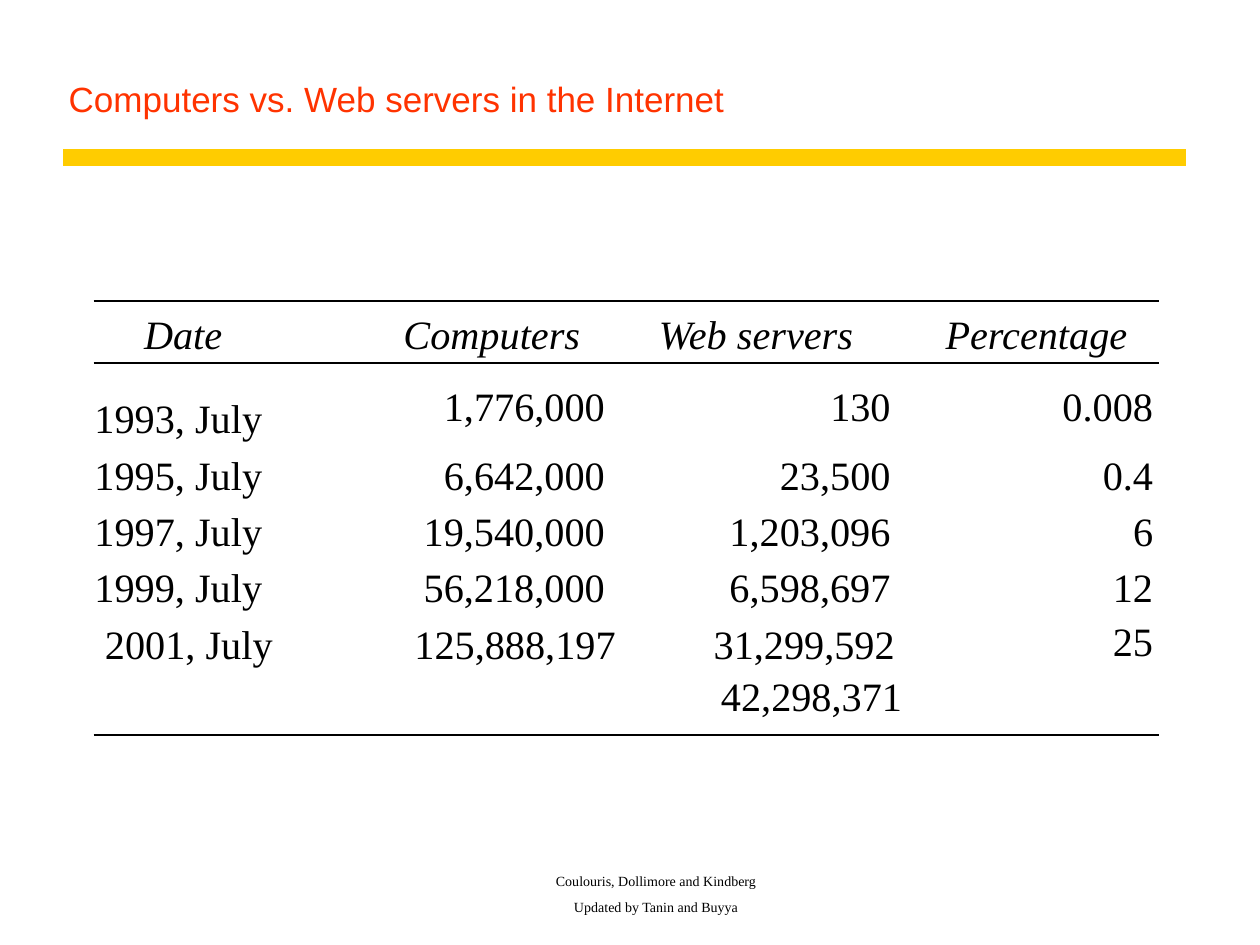
from lxml.etree import SubElement
from pptx import Presentation
from pptx.dml.color import RGBColor
from pptx.enum.shapes import MSO_CONNECTOR
from pptx.enum.text import MSO_ANCHOR, PP_ALIGN
from pptx.oxml.ns import qn
from pptx.util import Pt

BLACK = RGBColor(0x00, 0x00, 0x00)
RED = RGBColor(0xFF, 0x33, 0x00)
YELLOW = RGBColor(0xFF, 0xCC, 0x00)
SERIF = "Times New Roman"
NO_STYLE = "{2D5ABB26-0587-4C30-8999-92F81FD0307C}"

HEADERS = ["Date", "Computers", "Web servers", "Percentage"]
ROWS = [
    ["1993, July", "1,776,000", "130", "0.008"],
    ["1995, July", "6,642,000", "23,500", "0.4"],
    ["1997, July", "19,540,000", "1,203,096", "6"],
    ["1999, July", "56,218,000", "6,598,697", "12"],
    ["2001, July", "125,888,197", "31,299,592", "25"],
    ["", "", "42,298,371", ""],
]
COLUMN_SHARES = [155.5, 148, 161, 144.5]
ROW_SHARES = [35.5, 49.5, 32.2, 32.2, 32.2, 30, 36.4]
HEADER_INDENTS = [28.8, 21.6, 19.6, 22.4]
BODY_INSETS = [0.5, 11.2, 9, 3.5]
# Cells set slightly off their column or row, by (row, column)
SPECIAL_INSETS = {(5, 0): 6.5, (5, 1): 5, (5, 2): 6.5, (6, 2): 2.3}
SPECIAL_TOPS = {(1, 0): 19.8, (5, 3): 1.4}
ROW_TOPS = [7.2, 13.1] + [2.6] * 5


def format_runs(paragraph, size, color, font=SERIF, italic=False):
    for run in paragraph.runs:
        run.font.size = Pt(size)
        run.font.name = font
        run.font.italic = italic
        run.font.color.rgb = color


def add_rule(slide, left, top, width, color, thickness):
    rule = slide.shapes.add_connector(
        MSO_CONNECTOR.STRAIGHT, Pt(left), Pt(top), Pt(left + width), Pt(top))
    rule.line.color.rgb = color
    rule.line.width = Pt(thickness)
    SubElement(rule._element.spPr, qn("a:effectLst"))


def add_title(slide, left, top, width, height):
    title = slide.shapes.title
    title.left, title.top, title.width, title.height = map(Pt, (left, top, width, height))
    text_frame = title.text_frame
    text_frame.text = "Computers vs. Web servers in the Internet"
    text_frame.vertical_anchor = MSO_ANCHOR.BOTTOM
    paragraph = text_frame.paragraphs[0]
    paragraph.alignment = PP_ALIGN.LEFT
    format_runs(paragraph, 20, RED, "Arial")


def fill_cell(cell, text, row, column):
    is_header = row == 0
    aligned_left = is_header or column == 0
    inset = HEADER_INDENTS[column] if is_header else BODY_INSETS[column]
    inset = Pt(SPECIAL_INSETS.get((row, column), inset))
    cell.margin_left, cell.margin_right = (inset, 0) if aligned_left else (0, inset)
    cell.margin_top = Pt(SPECIAL_TOPS.get((row, column), ROW_TOPS[row]))
    cell.margin_bottom = 0
    cell.vertical_anchor = MSO_ANCHOR.TOP
    cell.fill.background()
    cell.text_frame.text = text
    paragraph = cell.text_frame.paragraphs[0]
    paragraph.alignment = PP_ALIGN.LEFT if aligned_left else PP_ALIGN.RIGHT
    format_runs(paragraph, 23, BLACK, italic=is_header)


def add_server_table(slide, left, top, width, height):
    contents = [HEADERS] + ROWS
    table_frame = slide.shapes.add_table(
        len(contents), len(HEADERS), Pt(left), Pt(top), Pt(width), Pt(height))
    table = table_frame.table
    table.first_row = table.horz_banding = False
    table._tbl.tblPr.find(qn("a:tableStyleId")).text = NO_STYLE
    for column, share in zip(table.columns, COLUMN_SHARES):
        column.width = Pt(width * share / sum(COLUMN_SHARES))
    for row, share in zip(table.rows, ROW_SHARES):
        row.height = Pt(height * share / sum(ROW_SHARES))
    for row, texts in enumerate(contents):
        for column, text in enumerate(texts):
            fill_cell(table.cell(row, column), text, row, column)
    # Rules above and below the header, and below the last row
    header_height = height * ROW_SHARES[0] / sum(ROW_SHARES)
    for offset in (0, header_height, height):
        add_rule(slide, left, top + offset, width, BLACK, 1)


def add_footer(slide, left, top, width, height):
    footer = slide.shapes.add_textbox(Pt(left), Pt(top), Pt(width), Pt(height))
    text_frame = footer.text_frame
    text_frame.word_wrap = True
    text_frame.vertical_anchor = MSO_ANCHOR.BOTTOM
    text_frame.text = "Coulouris, Dollimore and Kindberg\nUpdated by Tanin and Buyya"
    for paragraph in text_frame.paragraphs:
        paragraph.alignment = PP_ALIGN.CENTER
        paragraph.space_before = Pt(5)
        format_runs(paragraph, 8, BLACK)


def main():
    presentation = Presentation()
    presentation.slide_width, presentation.slide_height = Pt(720), Pt(540)
    slide = presentation.slides.add_slide(presentation.slide_layouts[5])
    add_rule(slide, 36, 90, 642, YELLOW, 10)
    add_footer(slide, 156, 504.4, 438, 22)
    add_title(slide, 32, 18, 646, 54)
    add_server_table(slide, 53.5, 172, 609, 248)
    presentation.save("out.pptx")


if __name__ == "__main__":
    main()
